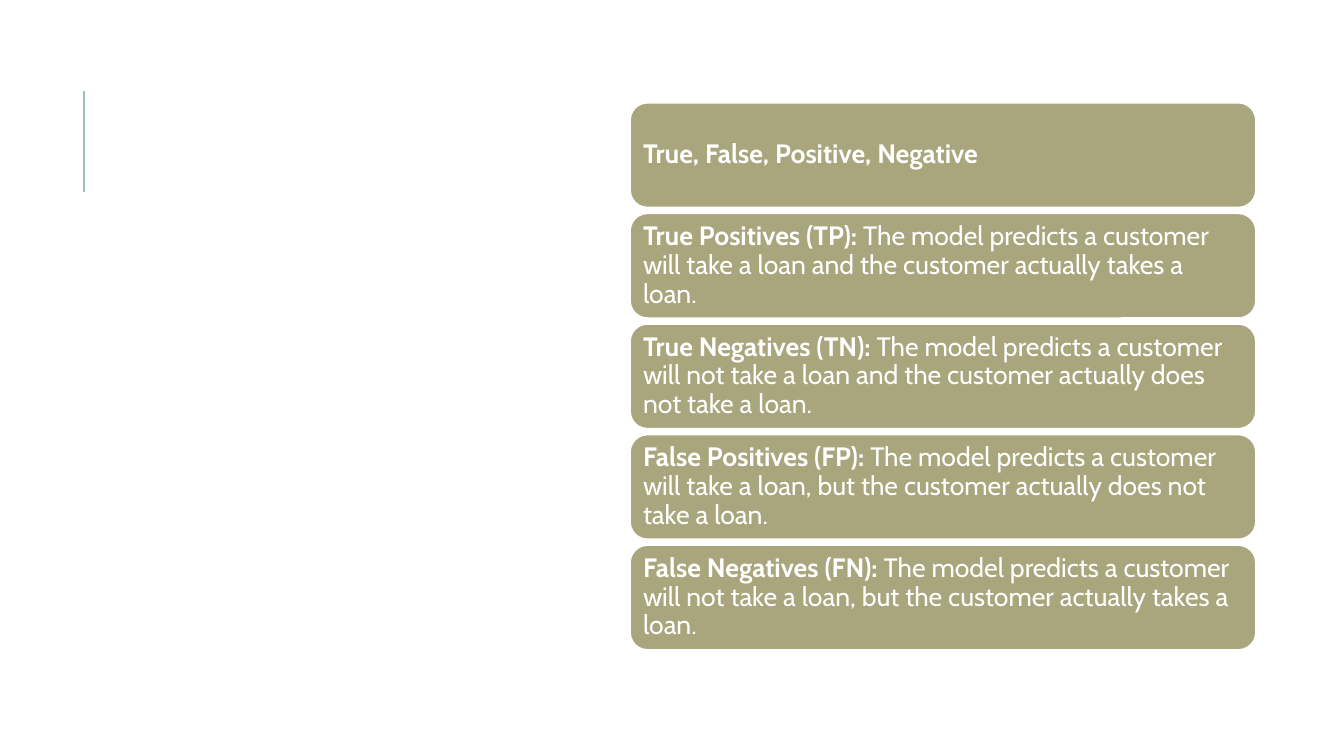
from dataclasses import dataclass

import pptx
import pptx.dml.color
import pptx.enum.shapes
import pptx.enum.text
import pptx.oxml
import pptx.oxml.ns
import pptx.shapes.autoshape
import pptx.slide
import pptx.util

FONT = "Cabin"
TEXT_SIZE = 19
WHITE = "FFFFFF"
OLIVE = "A9A57C"
TEAL = "9CBEBD"

CARD_LEFT, CARD_TOP = 450, 73.4
CARD_WIDTH, CARD_HEIGHT = 447.1, 74.9
CARD_PITCH = 79
CARD_INSET = 5.7


@dataclass(frozen=True)
class Outcome:
    term: str
    meaning: str = ""


OUTCOMES = [
    Outcome("True, False, Positive, Negative"),
    Outcome("True Positives (TP):",
            " The model predicts a customer will take a loan and the customer actually takes a loan."),
    Outcome("True Negatives (TN): ",
            "The model predicts a customer will not take a loan and the customer actually does not take a loan."),
    Outcome("False Positives (FP):",
            " The model predicts a customer will take a loan, but the customer actually does not take a loan."),
    Outcome("False Negatives (FN):",
            " The model predicts a customer will not take a loan, but the customer actually takes a loan."),
]


def color(hex_value: str) -> pptx.dml.color.RGBColor:
    return pptx.dml.color.RGBColor.from_string(hex_value)


def draw_accent_line(slide: pptx.slide.Slide) -> None:
    x, top, bottom = (pptx.util.Pt(value) for value in (60, 65, 137))
    accent = slide.shapes.add_connector(
        pptx.enum.shapes.MSO_CONNECTOR.STRAIGHT, x, bottom, x, top)
    accent.line.color.rgb = color(TEAL)
    accent.line.width = pptx.util.Pt(1.5)
    properties = accent.element.find(pptx.oxml.ns.qn("p:spPr"))
    properties.append(pptx.oxml.parse_xml(
        f'<a:effectLst {pptx.oxml.ns.nsdecls("a")}/>'))


def write_outcome(card: pptx.shapes.autoshape.Shape, outcome: Outcome) -> None:
    frame = card.text_frame
    frame.word_wrap = True
    frame.vertical_anchor = pptx.enum.text.MSO_ANCHOR.MIDDLE
    inset = pptx.util.Pt(CARD_INSET)
    frame.margin_left = frame.margin_right = inset
    frame.margin_top = frame.margin_bottom = inset
    paragraph = frame.paragraphs[0]
    paragraph.alignment = pptx.enum.text.PP_ALIGN.LEFT
    paragraph.line_spacing = 0.9
    for wording, bold in ((outcome.term, True), (outcome.meaning, False)):
        if not wording:
            continue
        run = paragraph.add_run()
        run.text = wording
        run.font.name = FONT
        run.font.size = pptx.util.Pt(TEXT_SIZE)
        run.font.bold = bold
        run.font.color.rgb = color(WHITE)


def draw_card(slide: pptx.slide.Slide, outcome: Outcome, row: int) -> None:
    card = slide.shapes.add_shape(
        pptx.enum.shapes.MSO_SHAPE.ROUNDED_RECTANGLE,
        pptx.util.Pt(CARD_LEFT), pptx.util.Pt(CARD_TOP + row * CARD_PITCH),
        pptx.util.Pt(CARD_WIDTH), pptx.util.Pt(CARD_HEIGHT))
    card.shadow.inherit = False
    card.fill.solid()
    card.fill.fore_color.rgb = color(OLIVE)
    card.line.color.rgb = color(WHITE)
    card.line.width = pptx.util.Pt(1.25)
    write_outcome(card, outcome)


def main() -> None:
    presentation = pptx.Presentation()
    presentation.slide_width = pptx.util.Pt(960)
    presentation.slide_height = pptx.util.Pt(540)
    blank_layout = presentation.slide_layouts[6]
    slide = presentation.slides.add_slide(blank_layout)
    draw_accent_line(slide)
    for row, outcome in enumerate(OUTCOMES):
        draw_card(slide, outcome, row)
    presentation.save("out.pptx")


if __name__ == "__main__":
    main()
